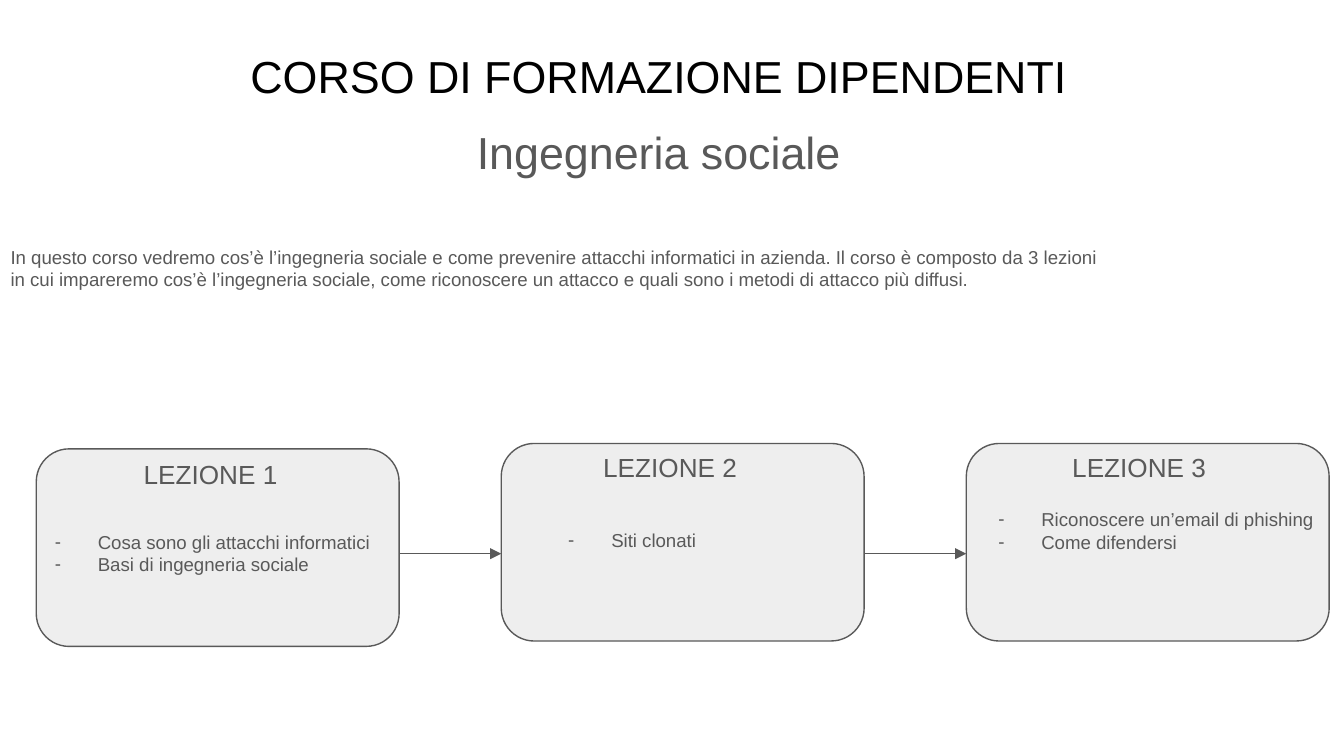
from lxml.etree import SubElement
from pptx import Presentation
from pptx.dml.color import RGBColor
from pptx.enum.shapes import MSO_CONNECTOR as Conn, MSO_SHAPE as Shape
from pptx.enum.text import MSO_ANCHOR as Anchor, PP_ALIGN as Align
from pptx.oxml.ns import qn
from pptx.util import Inches, Pt

TITLE = "CORSO DI FORMAZIONE DIPENDENTI"
SUBTITLE = "Ingegneria sociale"
INTRO = (
    "In questo corso vedremo cos’è l’ingegneria sociale e come prevenire attacchi "
    "informatici in azienda. Il corso è composto da 3 lezioni in cui impareremo cos’è "
    "l’ingegneria sociale, come riconoscere un attacco e quali sono i metodi di attacco "
    "più diffusi."
)
LESSONS = [
    dict(top=3.34, head="LEZIONE 1", head_at=(0.97, 3.31, 3.07, 0.44),
         points=["Cosa sono gli attacchi informatici", "Basi di ingegneria sociale"],
         points_at=(0.13, 3.85, 3.07, 0.54)),
    dict(top=3.3, head="LEZIONE 2", head_at=(4.39, 3.26, 3.07, 0.44),
         points=["Siti clonati"], points_at=(3.95, 3.85, 3.07, 0.37)),
    dict(top=3.3, head="LEZIONE 3", head_at=(7.88, 3.26, 2.66, 0.44),
         points=["Riconoscere un’email di phishing", "Come difendersi"],
         points_at=(7.15, 3.68, 2.77, 0.71)),
]
FONT, GREY, PALE, BLACK = "Arial", "595959", "EEEEEE", "000000"
LEFT, STEP, CARD_W, CARD_H, ARROW_Y = 0.27, 3.46, 2.7, 1.47, 4.12


def rgb(value):
    """Turn a hex string into a colour."""
    return RGBColor.from_string(value)


def add_bullet(p, mark):
    """Give a paragraph a hanging bullet."""
    pPr = p._p.get_or_add_pPr()
    pPr.set("marL", str(Inches(0.5)))
    pPr.set("indent", str(Inches(-0.32)))
    SubElement(SubElement(pPr, qn("a:buClr")), qn("a:srgbClr"), val=GREY)
    SubElement(pPr, qn("a:buFont"), typeface=FONT)
    SubElement(pPr, qn("a:buChar"), char=mark)


def write(sp, lines, size=10, color=GREY, align=Align.LEFT, anchor=Anchor.TOP, bullet=None):
    """Fill a shape with formatted paragraphs."""
    tf = sp.text_frame
    tf.word_wrap, tf.vertical_anchor = True, anchor
    tf.margin_left = tf.margin_right = tf.margin_top = tf.margin_bottom = Inches(0.1)
    for i, line in enumerate(lines):
        p = tf.add_paragraph() if i else tf.paragraphs[0]
        p.alignment, p.line_spacing = align, 1.0
        p.space_before = p.space_after = Pt(0)
        r = p.add_run()
        r.text = line
        r.font.size, r.font.name = Pt(size), FONT
        r.font.color.rgb = rgb(color)
        if bullet:
            add_bullet(p, bullet)


def add_text(slide, at, lines, **fmt):
    """Add a text box holding formatted lines."""
    write(slide.shapes.add_textbox(*map(Inches, at)), lines, **fmt)


def add_card(slide, left, top):
    """Add the rounded card of a lesson."""
    sp = slide.shapes.add_shape(Shape.ROUNDED_RECTANGLE, *map(Inches, (left, top, CARD_W, CARD_H)))
    sp.shadow.inherit = False
    sp.fill.solid()
    sp.fill.fore_color.rgb = rgb(PALE)
    sp.line.color.rgb = rgb(GREY)
    sp.line.width = Pt(0.75)


def add_arrow(slide, start, end):
    """Add a horizontal arrow between two cards."""
    line = slide.shapes.add_connector(Conn.STRAIGHT, *map(Inches, (start, ARROW_Y, end, ARROW_Y)))
    line.line.color.rgb = rgb(GREY)
    line.line.width = Pt(0.75)
    SubElement(line.line._get_or_add_ln(), qn("a:tailEnd"), type="triangle")
    SubElement(line._element.spPr, qn("a:effectLst"))


def main():
    """Build and save the slide."""
    prs = Presentation()
    prs.slide_width = Inches(10)
    prs.slide_height = prs.slide_width * 9 // 16
    slide = prs.slides.add_slide(prs.slide_layouts[5])
    title = slide.shapes.title
    title.left, title.top, title.width, title.height = map(Inches, (0.24, 0.15, 9.32, 0.71))
    write(title, [TITLE], size=24, color=BLACK, align=Align.CENTER, anchor=Anchor.BOTTOM)
    add_text(slide, (0.24, 0.83, 9.32, 0.87), [SUBTITLE], size=24, align=Align.CENTER)
    add_text(slide, (-0.02, 1.73, 8.35, 0.54), [INTRO])
    for i, lesson in enumerate(LESSONS):
        left = LEFT + i * STEP
        add_card(slide, left, lesson["top"])
        add_text(slide, lesson["head_at"], [lesson["head"]], size=14)
        add_text(slide, lesson["points_at"], lesson["points"], bullet="-")
        if i:
            add_arrow(slide, left - STEP + CARD_W, left)
    prs.save("out.pptx")


if __name__ == "__main__":
    main()
